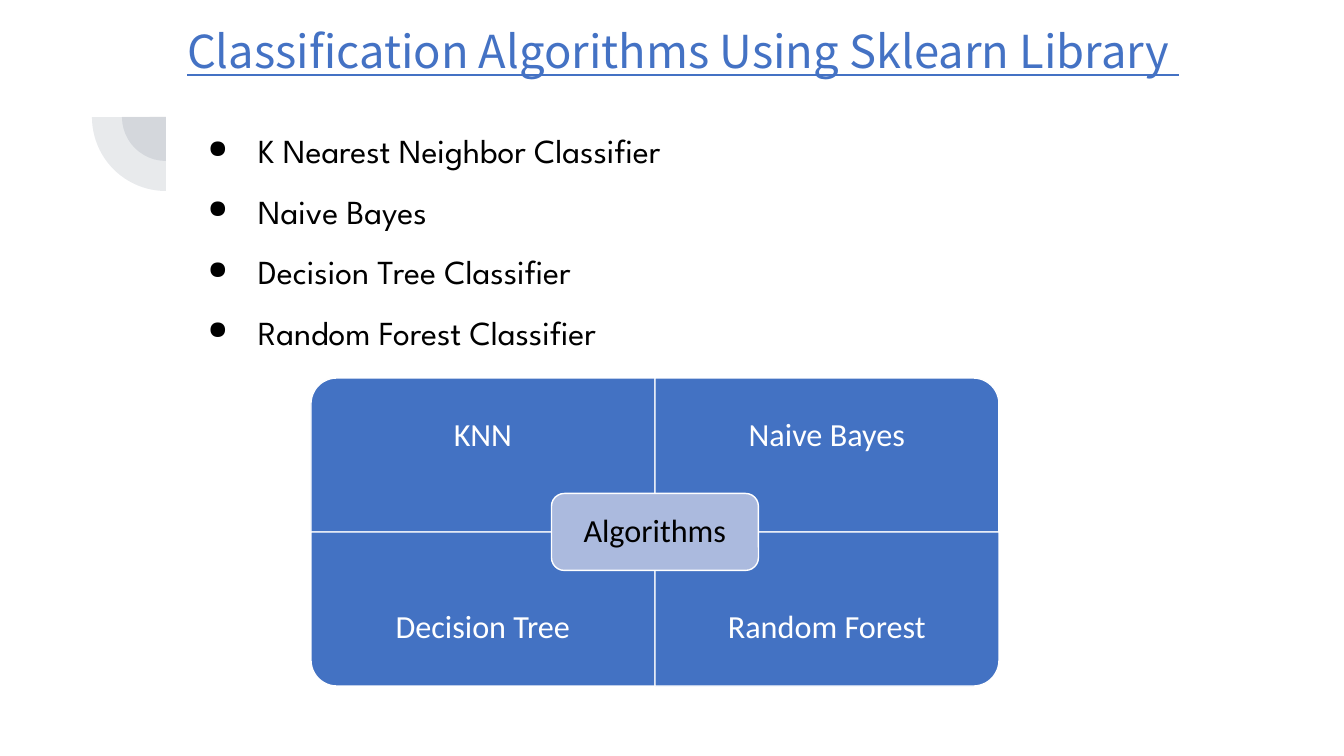
from lxml import etree
from pptx import Presentation, util as u
from pptx.dml.color import RGBColor
from pptx.enum import shapes, text
from pptx.oxml.ns import qn

TITLE = "Classification Algorithms Using Sklearn Library "
CLASSIFIERS = ["K Nearest Neighbor Classifier", "Naive Bayes",
               "Decision Tree Classifier", "Random Forest Classifier"]
HUB = "Algorithms"
# label, column, row, rotation that turns the round corner outwards
QUADRANTS = [("KNN", 0, 0, 270), ("Naive Bayes", 1, 0, 0),
             ("Decision Tree", 0, 1, 180), ("Random Forest", 1, 1, 90)]
COLORS = {"title": "4472C4", "quadrant": "4372C3", "hub": "ABBADE",
          "arc": "44546A", "white": "FFFFFF", "black": "000000"}
ARC_CENTER, ARC_RADII, ARC_ALPHA = (166, 117), (44, 74), 12000
MATRIX_LEFT, MATRIX_TOP, CELL_W, CELL_H = 311, 378, 344, 154
HUB_W, HUB_H = 207, 77
SHAPE, ALIGN, ANCHOR = shapes.MSO_SHAPE, text.PP_ALIGN, text.MSO_ANCHOR


def px(n):
    return u.Emu(round(n * 914400 / 100.8))


def rgb(name):
    return RGBColor.from_string(COLORS[name])


def add_filled(preset, box, fill, line=None):
    part = slide.shapes.add_shape(preset, *map(px, box))
    part.shadow.inherit = False
    part.fill.solid()
    part.fill.fore_color.rgb = rgb(fill)
    if line:
        part.line.color.rgb = rgb(line)
        part.line.width = u.Pt(1)
    else:
        part.line.fill.background()
    return part


def set_frame(part, anchor, inset):
    frame = part.text_frame
    frame.word_wrap = True
    frame.auto_size = text.MSO_AUTO_SIZE.NONE
    frame.vertical_anchor = anchor
    frame.margin_left = frame.margin_right = px(inset)
    frame.margin_top = frame.margin_bottom = px(inset)
    return frame


def write(paragraph, words, font, size, color, spacing, align=ALIGN.LEFT):
    paragraph.text = words
    paragraph.alignment = align
    paragraph.line_spacing = spacing
    paragraph.font.name = font
    paragraph.font.size = u.Pt(size)
    paragraph.font.color.rgb = rgb(color)


def write_label(part, words, color):
    frame = set_frame(part, ANCHOR.MIDDLE, 10)
    write(frame.paragraphs[0], words, "Calibri", 23, color, 0.9, ALIGN.CENTER)


def add_bullet(paragraph):
    props = paragraph._p.get_or_add_pPr()
    props.set("marL", str(px(67)))
    props.set("indent", str(px(-50)))
    color = etree.SubElement(props, qn("a:buClr"))
    etree.SubElement(color, qn("a:srgbClr"), val=COLORS["black"])
    etree.SubElement(props, qn("a:buSzPct"), val="75000")
    etree.SubElement(props, qn("a:buChar"), char="●")


deck = Presentation()
deck.slide_width, deck.slide_height = px(1344), px(756)
slide = deck.slides.add_slide(deck.slide_layouts[5])

for radius in ARC_RADII:
    x, y = ARC_CENTER
    arc = add_filled(SHAPE.PIE, (x - radius, y - radius, 2 * radius, 2 * radius), "arc")
    # Angles count in 1/60000 degree, adjustments in 1/100000
    arc.adjustments[0], arc.adjustments[1] = 90 * 0.6, 180 * 0.6
    tint = arc.fill._xPr.find(".//" + qn("a:srgbClr"))
    etree.SubElement(tint, qn("a:alpha"), val=str(ARC_ALPHA))

title = slide.shapes.title
title.left, title.top, title.width, title.height = map(px, (174, 16, 1033, 103))
heading = set_frame(title, ANCHOR.TOP, 13).paragraphs[0]
write(heading, TITLE, "Noto Sans CJK TC", 32.4, "title", 0.9)
heading.font.underline = True

listing = slide.shapes.add_textbox(*map(px, (178, 97, 1041, 301)))
frame = set_frame(listing, ANCHOR.TOP, 13)
for i, classifier in enumerate(CLASSIFIERS):
    item = frame.add_paragraph() if i else frame.paragraphs[0]
    write(item, classifier, "League Spartan", 24, "black", 1.5)
    add_bullet(item)

for label, col, row, rotation in QUADRANTS:
    left, top = MATRIX_LEFT + col * CELL_W, MATRIX_TOP + row * CELL_H
    w, h = (CELL_H, CELL_W) if rotation % 180 else (CELL_W, CELL_H)
    box = (left + (CELL_W - w) / 2, top + (CELL_H - h) / 2, w, h)
    quadrant = add_filled(SHAPE.ROUND_1_RECTANGLE, box, "quadrant", "white")
    quadrant.rotation = rotation
    # The label keeps to the outer three quarters, clear of the hub
    caption = slide.shapes.add_textbox(
        *map(px, (left, top + row * CELL_H / 4, CELL_W, CELL_H * 3 / 4)))
    write_label(caption, label, "white")

hub = add_filled(SHAPE.ROUNDED_RECTANGLE,
                 (MATRIX_LEFT + CELL_W - HUB_W / 2, MATRIX_TOP + CELL_H - HUB_H / 2,
                  HUB_W, HUB_H), "hub", "white")
write_label(hub, HUB, "black")

deck.save("out.pptx")
